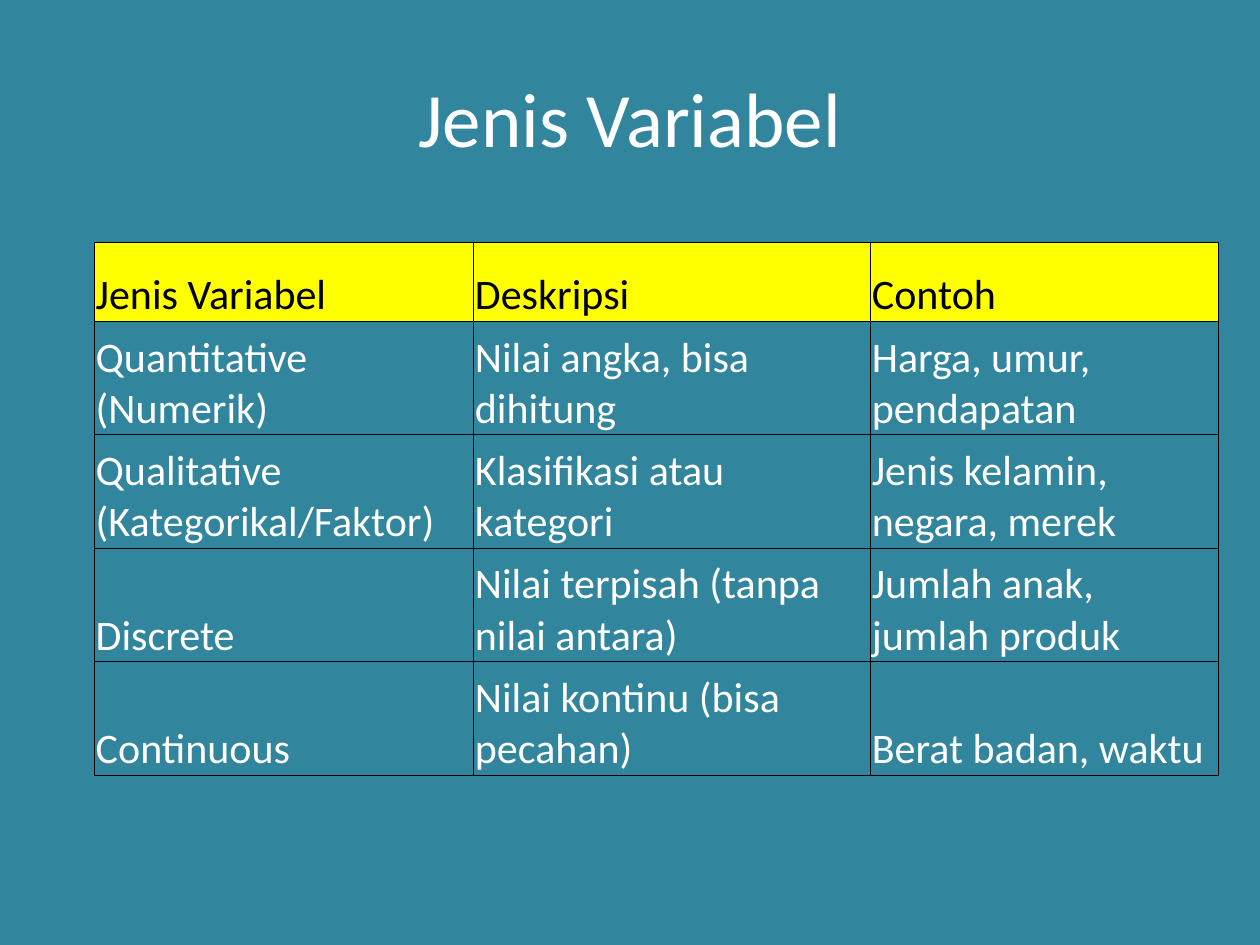
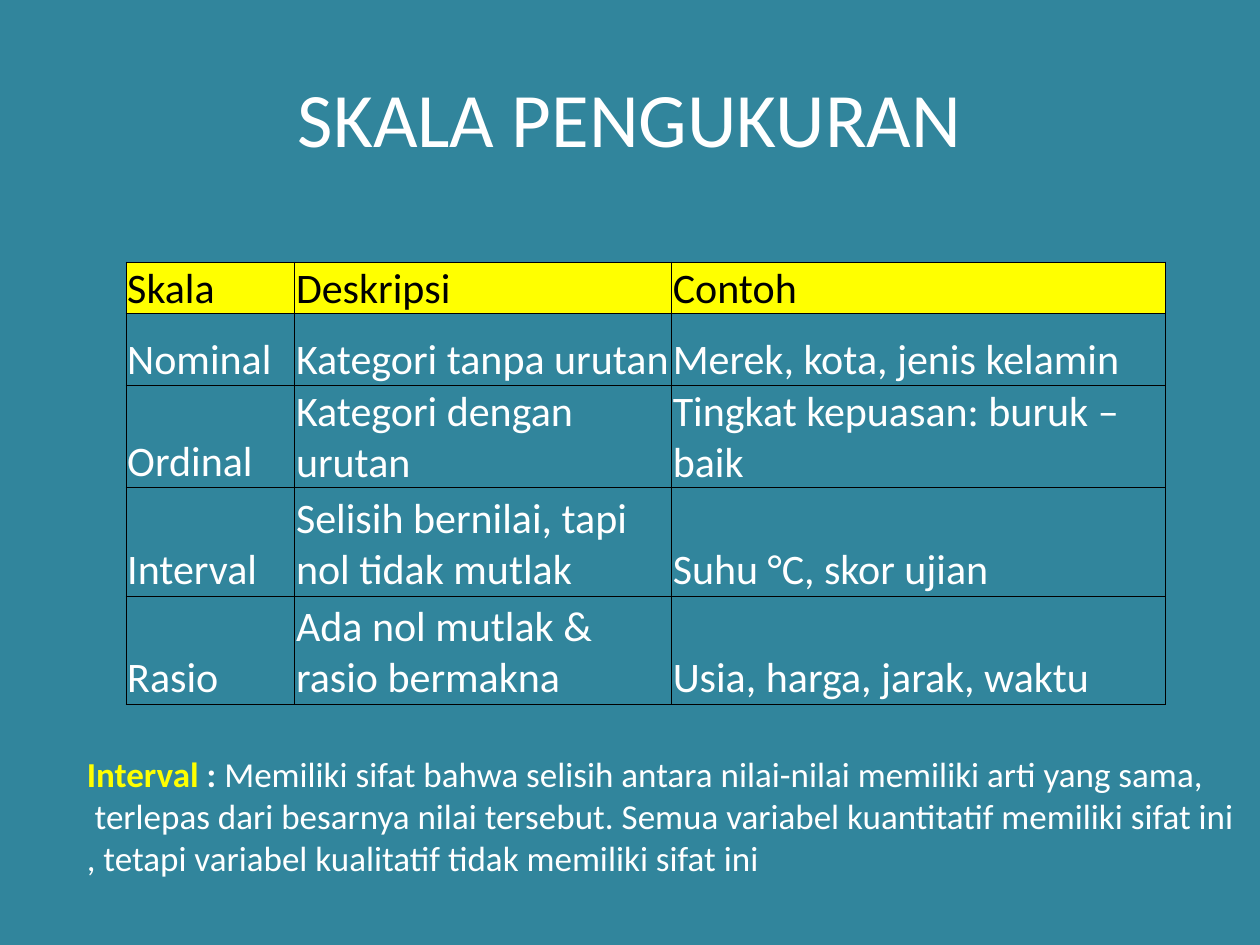
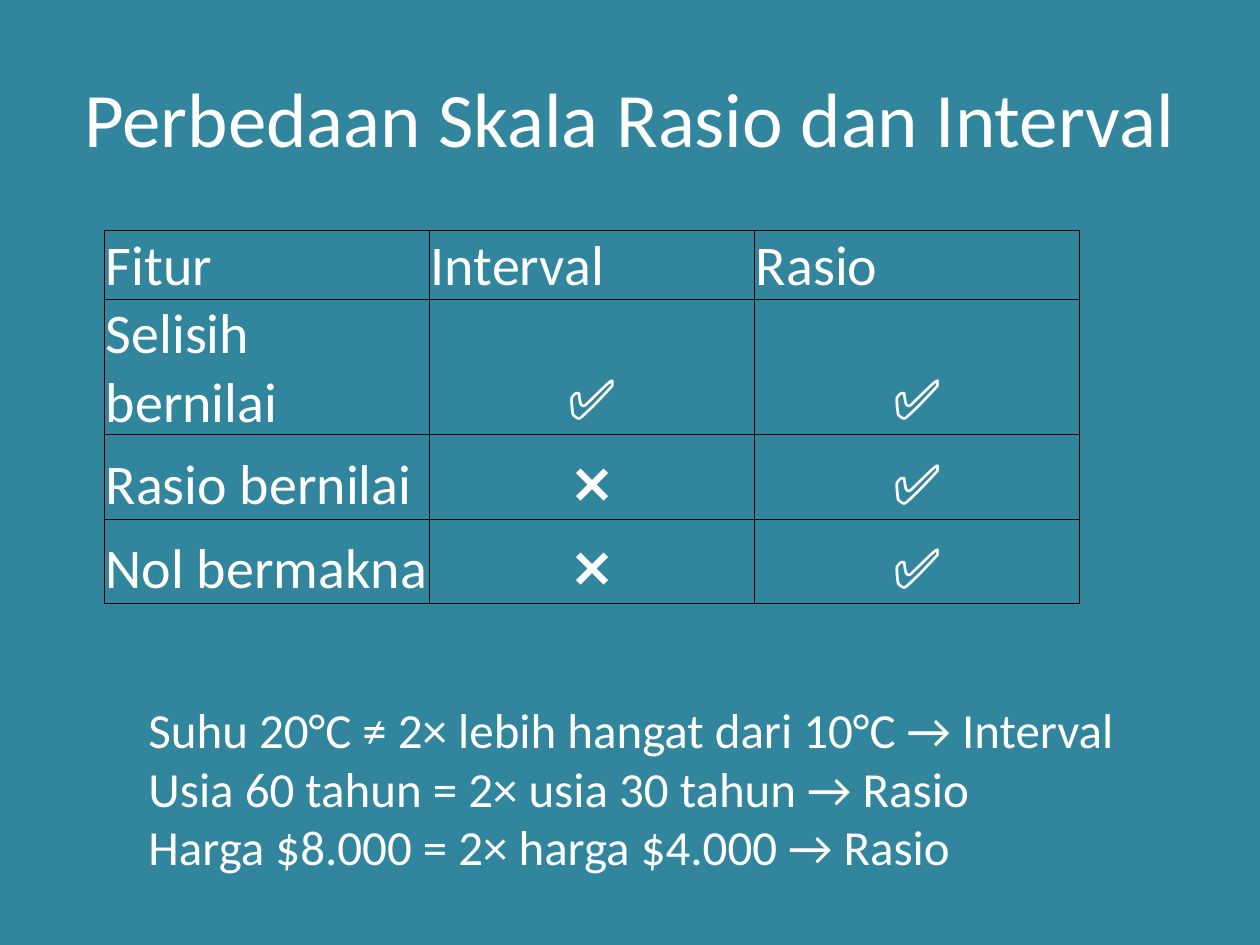
from dataclasses import dataclass

import lxml.etree
import pptx
import pptx.dml.color
import pptx.enum.text
import pptx.oxml.ns
import pptx.util
from pptx.util import Inches

RGBColor = pptx.dml.color.RGBColor
ALIGN = pptx.enum.text.PP_ALIGN
ANCHOR = pptx.enum.text.MSO_ANCHOR
AUTO = pptx.enum.text.MSO_AUTO_SIZE

TEAL = RGBColor(0x31, 0x85, 0x9C)
WHITE = RGBColor(0xFF, 0xFF, 0xFF)
BLACK = RGBColor(0x00, 0x00, 0x00)
YELLOW = RGBColor(0xFF, 0xFF, 0x00)
FONT = "Calibri"
BORDER_PT = 0.5
CELL_FORMAT = {
    "vertical_anchor": ANCHOR.BOTTOM,
    "margin_left": Inches(0.01),
    "margin_right": Inches(0.01),
    "margin_top": Inches(0.01),
    "margin_bottom": Inches(0),
}
TITLE_FORMAT = {"word_wrap": True, "vertical_anchor": ANCHOR.MIDDLE}
NOTE_FORMAT = {"word_wrap": False, "auto_size": AUTO.SHAPE_TO_FIT_TEXT}
PLAIN_TABLE = {"first_row": False, "horz_banding": False}
MARKS = ("✅", "❌")


@dataclass
class Run:
    """A stretch of text with its own weight and colour."""
    text: str
    bold: bool = False
    color: RGBColor = WHITE


@dataclass
class Grid:
    """A bordered table; lengths are in inches."""
    left: float
    top: float
    cols: list[float]
    rows: list[float]
    cells: list[list[str]]
    size: int = 24
    yellow_header: bool = True


@dataclass
class Note:
    """Lines of text below a table; lengths are in inches."""
    box: tuple[float, float, float, float]
    size: int
    lines: list[list[Run]]


@dataclass
class Page:
    """One slide: a title, a table and perhaps a note."""
    title: str
    grid: Grid
    note: Note | None = None


PAGES = [
    Page("Jenis Variabel", Grid(
        0.75, 1.92, [3.01, 3.15, 2.76], [0.63] + [0.9] * 4, [
            ["Jenis Variabel", "Deskripsi", "Contoh"],
            ["Quantitative (Numerik)", "Nilai angka, bisa dihitung", "Harga, umur, pendapatan"],
            ["Qualitative (Kategorikal/Faktor)", "Klasifikasi atau kategori",
             "Jenis kelamin, negara, merek"],
            ["Discrete", "Nilai terpisah (tanpa nilai antara)", "Jumlah anak, jumlah produk"],
            ["Continuous", "Nilai kontinu (bisa pecahan)", "Berat badan, waktu"],
        ])),
    Page("SKALA PENGUKURAN", Grid(
        1, 2.08, [1.34, 2.99, 3.92], [0.31, 0.57, 0.57, 0.86, 0.86], [
            ["Skala", "Deskripsi", "Contoh"],
            ["Nominal", "Kategori tanpa urutan", "Merek, kota, jenis kelamin"],
            ["Ordinal", "Kategori dengan urutan", "Tingkat kepuasan: buruk – baik"],
            ["Interval", "Selisih bernilai, tapi nol tidak mutlak", "Suhu °C, skor ujian"],
            ["Rasio", "Ada nol mutlak & rasio bermakna", "Usia, harga, jarak, waktu"],
        ]),
        Note((0.59, 5.92, 9.41, 1.11), 20, [
            [Run("Interval", True, YELLOW), Run(" : ", True),
             Run("Memiliki sifat bahwa selisih antara nilai-nilai memiliki arti yang sama,")],
            [Run(" terlepas dari besarnya nilai tersebut. "
                 "Semua variabel kuantitatif memiliki sifat ini")],
            [Run(", tetapi variabel kualitatif tidak memiliki sifat ini")],
        ])),
    Page("Perbedaan Skala Rasio dan Interval", Grid(
        0.83, 1.83, [2.58] * 3, [0.36] + [0.67] * 3, [
            ["Fitur", "Interval", "Rasio"],
            ["Selisih bernilai", "✅", "✅"],
            ["Rasio bernilai", "❌", "✅"],
            ["Nol bermakna", "❌", "✅"],
        ], size=32, yellow_header=False),
        Note((1.08, 5.5, 7.95, 1.82), 28, [
            [Run("Suhu 20°C ≠ 2× lebih hangat dari 10°C → Interval")],
            [Run("Usia 60 tahun = 2× usia 30 tahun → Rasio")],
            [Run("Harga $8.000 = 2× harga $4.000 → Rasio")],
        ])),
]


def apply(target, values: dict) -> None:
    """Set each named attribute of the target."""
    for name, value in values.items():
        setattr(target, name, value)


def write(p, runs: list[Run], size: int, align=ALIGN.LEFT) -> None:
    """Fill a paragraph with formatted runs."""
    p.alignment = align
    for run in runs:
        r = p.add_run()
        r.text = run.text
        apply(r.font, {"name": FONT, "size": pptx.util.Pt(size), "bold": run.bold})
        r.font.color.rgb = run.color


def add_text(s, box: tuple, lines: list[list[Run]], size: int, frame: dict,
             align=ALIGN.LEFT) -> None:
    """Add a text box with one paragraph per line."""
    tf = s.shapes.add_textbox(*map(Inches, box)).text_frame
    apply(tf, frame)
    for i, runs in enumerate(lines):
        p = tf.add_paragraph() if i else tf.paragraphs[0]
        write(p, runs, size, align)


def add_borders(cell) -> None:
    """Draw a thin black line on all four sides of a cell."""
    qn = pptx.oxml.ns.qn
    tc_pr = cell._tc.get_or_add_tcPr()
    for side in "LRTB":
        ln = lxml.etree.SubElement(tc_pr, qn(f"a:ln{side}"), w=str(pptx.util.Pt(BORDER_PT)))
        fill = lxml.etree.SubElement(ln, qn("a:solidFill"))
        lxml.etree.SubElement(fill, qn("a:srgbClr"), val=str(BLACK))


def add_grid(s, grid: Grid) -> None:
    """Add a table with its borders, fills and text."""
    lengths = map(Inches, (grid.left, grid.top, sum(grid.cols), sum(grid.rows)))
    table = s.shapes.add_table(len(grid.rows), len(grid.cols), *lengths).table
    apply(table, PLAIN_TABLE)
    for column, width in zip(table.columns, grid.cols):
        column.width = Inches(width)
    for i, (row, height) in enumerate(zip(table.rows, grid.rows)):
        row.height = Inches(height)
        yellow = grid.yellow_header and i == 0
        for cell, text in zip(row.cells, grid.cells[i]):
            apply(cell, CELL_FORMAT)
            add_borders(cell)
            if yellow:
                cell.fill.solid()
                cell.fill.fore_color.rgb = YELLOW
            else:
                cell.fill.background()
            write(cell.text_frame.paragraphs[0],
                  [Run(text, color=BLACK if yellow else WHITE)], grid.size,
                  ALIGN.CENTER if text in MARKS else ALIGN.LEFT)


def add_page(prs, page: Page) -> None:
    """Add one slide on the teal background."""
    s = prs.slides.add_slide(prs.slide_layouts[6])
    s.background.fill.solid()
    s.background.fill.fore_color.rgb = TEAL
    add_text(s, (0.5, 0.3, 9, 1.25), [[Run(page.title)]], 44, TITLE_FORMAT, ALIGN.CENTER)
    add_grid(s, page.grid)
    if page.note:
        add_text(s, page.note.box, page.note.lines, page.note.size, NOTE_FORMAT)


def main() -> None:
    """Build and save the slides."""
    prs = pptx.Presentation()
    apply(prs, {"slide_width": Inches(10), "slide_height": Inches(7.5)})
    for page in PAGES:
        add_page(prs, page)
    prs.save("out.pptx")


if __name__ == "__main__":
    main()
